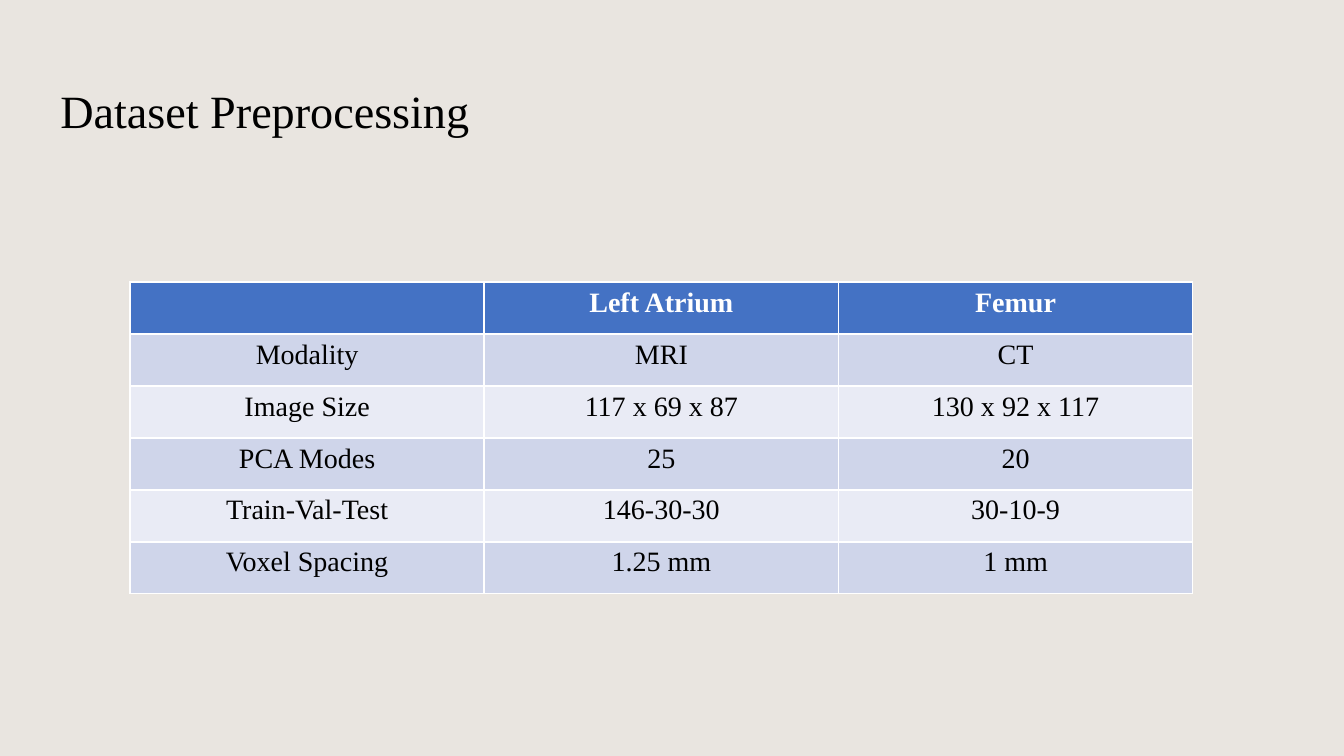
from lxml import etree
from pptx import Presentation, util as u
from pptx.dml.color import RGBColor
from pptx.enum import shapes, text
from pptx.oxml import ns

WIDTH, HEIGHT = 13.33, 7.5
FACTS = [
    ("", "Left Atrium", "Femur"),
    ("Modality", "MRI", "CT"),
    ("Image Size", "117 x 69 x 87", "130 x 92 x 117"),
    ("PCA Modes", "25", "20"),
    ("Train-Val-Test", "146-30-30", "30-10-9"),
    ("Voxel Spacing", "1.25 mm", "1 mm"),
]


def paint(colour_format, colour):
    colour_format.rgb = RGBColor.from_string(colour)


def fill(target, colour):
    target.fill.solid()
    paint(target.fill.fore_color, colour)


def write(frame, words, size=20, colour="000000", bold=False,
          align=text.PP_ALIGN.LEFT, spacing=1.0, font="Times New Roman"):
    paragraph = frame.paragraphs[0]
    paragraph.alignment = align
    paragraph.line_spacing = spacing
    run = paragraph.add_run()
    run.text = words
    run.font.name, run.font.size, run.font.bold = font, u.Pt(size), bold
    paint(run.font.color, colour)


class Deck:
    header = "4472C4"
    bands = ("E9EBF5", "CFD5EA")
    rule = "FFFFFF"
    rule_width = 1.31

    def __init__(self):
        self.show = Presentation()
        self.show.slide_width = u.Inches(WIDTH)
        self.show.slide_height = u.Inches(HEIGHT)
        self.slide = self.show.slides.add_slide(self.show.slide_layouts[6])

    def area(self, left, top, width, height):
        w, h = self.show.slide_width, self.show.slide_height
        return int(left * w), int(top * h), int(width * w), int(height * h)

    def veil(self, colour, opacity):
        cover = self.slide.shapes.add_shape(
            shapes.MSO_SHAPE.RECTANGLE, *self.area(0, 0, 1, 1))
        cover.shadow.inherit = False
        cover.line.fill.background()
        fill(cover, colour)
        tint = cover.fill._xPr.find(".//" + ns.qn("a:srgbClr"))
        etree.SubElement(tint, ns.qn("a:alpha"), val=str(opacity * 1000))

    def title(self, words, *shares):
        heading = self.slide.shapes.add_textbox(*self.area(*shares)).text_frame
        heading.word_wrap = True
        heading.vertical_anchor = text.MSO_ANCHOR.MIDDLE
        write(heading, words, size=33, spacing=0.9)

    def border(self, cell):
        properties = cell._tc.get_or_add_tcPr()
        for place, side in enumerate(("lnL", "lnR", "lnT", "lnB")):
            edge = etree.Element(ns.qn("a:" + side), w=str(u.Pt(self.rule_width)))
            solid = etree.SubElement(edge, ns.qn("a:solidFill"))
            etree.SubElement(solid, ns.qn("a:srgbClr"), val=self.rule)
            properties.insert(place, edge)

    def table(self, rows, *shares):
        grid = self.slide.shapes.add_table(
            len(rows), len(rows[0]), *self.area(*shares)).table
        for r, row in enumerate(rows):
            is_header = r == 0
            for c, words in enumerate(row):
                cell = grid.cell(r, c)
                fill(cell, self.header if is_header else self.bands[r % 2])
                self.border(cell)
                if words:
                    write(cell.text_frame, words, bold=is_header,
                          colour="FFFFFF" if is_header else "000000",
                          align=text.PP_ALIGN.CENTER)


def main():
    deck = Deck()
    deck.veil("E0DAD4", 70)
    deck.title("Dataset Preprocessing",
               0.5 / WIDTH, 0.4 / HEIGHT, 11.92 / WIDTH, 1.45 / HEIGHT)
    deck.table(FACTS, 1.29 / WIDTH, 2.8 / HEIGHT, 10.54 / WIDTH, 3.09 / HEIGHT)
    deck.show.save("out.pptx")


if __name__ == "__main__":
    main()
